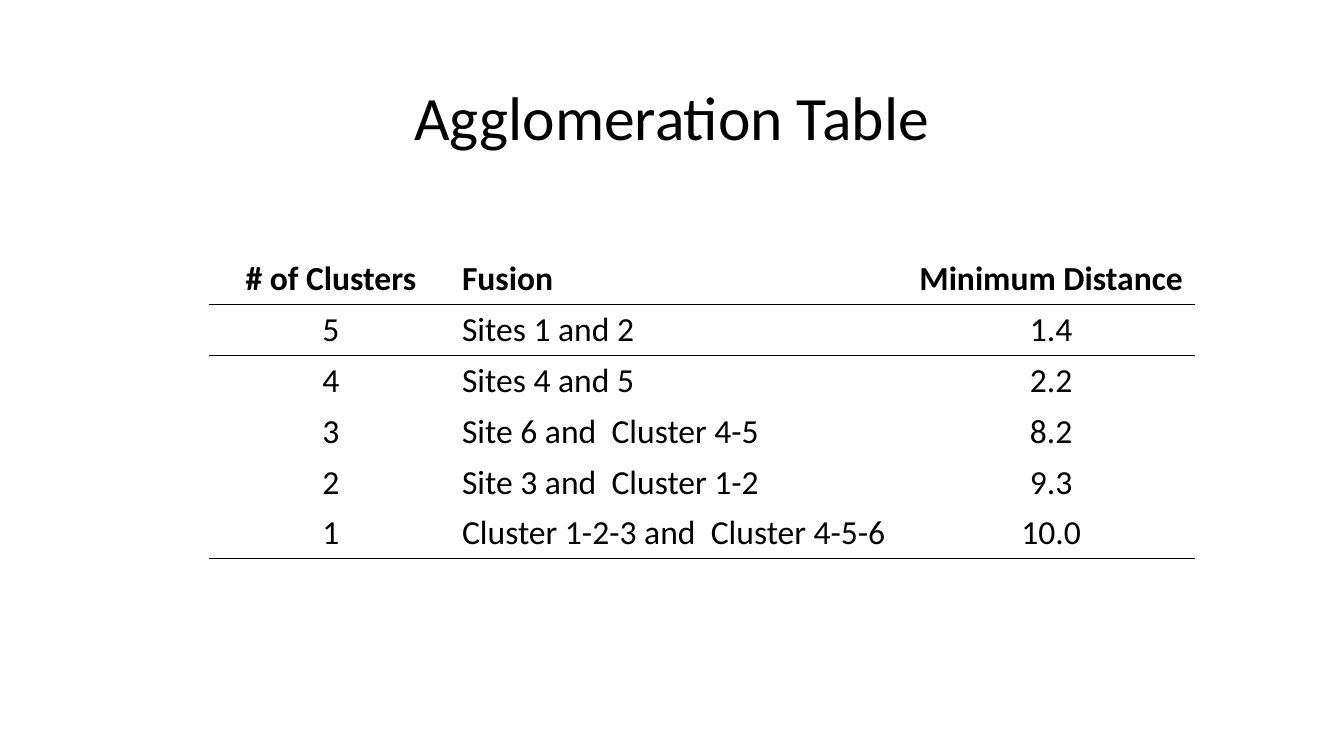
import dataclasses

import lxml.etree
import pptx
import pptx.dml.color
import pptx.enum.text
import pptx.oxml.ns
import pptx.util
from pptx.util import Cm

ALIGN = pptx.enum.text.PP_ALIGN


@dataclasses.dataclass(frozen=True)
class Theme:
    font: str = "Calibri"
    ink: str = "000000"
    title: int = 44
    body: int = 24
    rule: int = 1


THEME = Theme()

COLUMN_WIDTHS = (6.1, 11.48, 7.24)
COLUMN_ALIGN = (ALIGN.CENTER, ALIGN.LEFT, ALIGN.CENTER)
ROW_HEIGHT = 1.28
ROWS = (
    ("# of Clusters", "Fusion", "Minimum Distance"),
    ("5", "Sites 1 and 2", "1.4"),
    ("4", "Sites 4 and 5", "2.2"),
    ("3", "Site 6 and  Cluster 4-5", "8.2"),
    ("2", "Site 3 and  Cluster 1-2", "9.3"),
    ("1", "Cluster 1-2-3 and  Cluster 4-5-6", "10.0"),
)
RULED_ROWS = (0, 1, len(ROWS) - 1)  # rows with a line below them


def write(tf, text, size=THEME.body, bold=False, align=ALIGN.LEFT, spacing=None):
    """Put one formatted paragraph into a text frame."""
    p = tf.paragraphs[0]
    p.alignment = align
    p.line_spacing = spacing
    r = p.add_run()
    r.text = text
    r.font.name = THEME.font
    r.font.size = pptx.util.Pt(size)
    r.font.bold = bold
    r.font.color.rgb = pptx.dml.color.RGBColor.from_string(THEME.ink)


def add_border(cell, side):
    """Draw a solid line on one side of a cell: lnT or lnB."""
    qn = pptx.oxml.ns.qn
    ln = lxml.etree.SubElement(cell._tc.get_or_add_tcPr(), qn(f"a:{side}"),
                               w=str(pptx.util.Pt(THEME.rule)))
    fill = lxml.etree.SubElement(ln, qn("a:solidFill"))
    lxml.etree.SubElement(fill, qn("a:srgbClr"), val=THEME.ink)


def add_title(s, text):
    sp = s.shapes.add_textbox(Cm(2.33), Cm(1.2), Cm(29.21), Cm(3.68))
    tf = sp.text_frame
    tf.word_wrap = True
    tf.vertical_anchor = pptx.enum.text.MSO_ANCHOR.MIDDLE
    write(tf, text, size=THEME.title, align=ALIGN.CENTER, spacing=0.9)


def add_ruled_table(s, rows, left, top):
    table = s.shapes.add_table(
        len(rows), len(COLUMN_WIDTHS), Cm(left), Cm(top),
        Cm(sum(COLUMN_WIDTHS)), Cm(ROW_HEIGHT * len(rows))).table
    table.horz_banding = False
    for column, width in zip(table.columns, COLUMN_WIDTHS):
        column.width = Cm(width)
    for i, row in enumerate(rows):
        table.rows[i].height = Cm(ROW_HEIGHT)
        for j, text in enumerate(row):
            cell = table.cell(i, j)
            write(cell.text_frame, text, bold=i == 0, align=COLUMN_ALIGN[j])
            # Neighbouring cells share each line
            if i - 1 in RULED_ROWS:
                add_border(cell, "lnT")
            if i in RULED_ROWS:
                add_border(cell, "lnB")
            cell.fill.background()


def main():
    prs = pptx.Presentation()
    prs.slide_width, prs.slide_height = Cm(33.87), Cm(19.05)
    s = prs.slides.add_slide(prs.slide_layouts[6])
    add_title(s, "Agglomeration Table")
    add_ruled_table(s, ROWS, left=5.29, top=6.4)
    prs.save("out.pptx")


if __name__ == "__main__":
    main()
